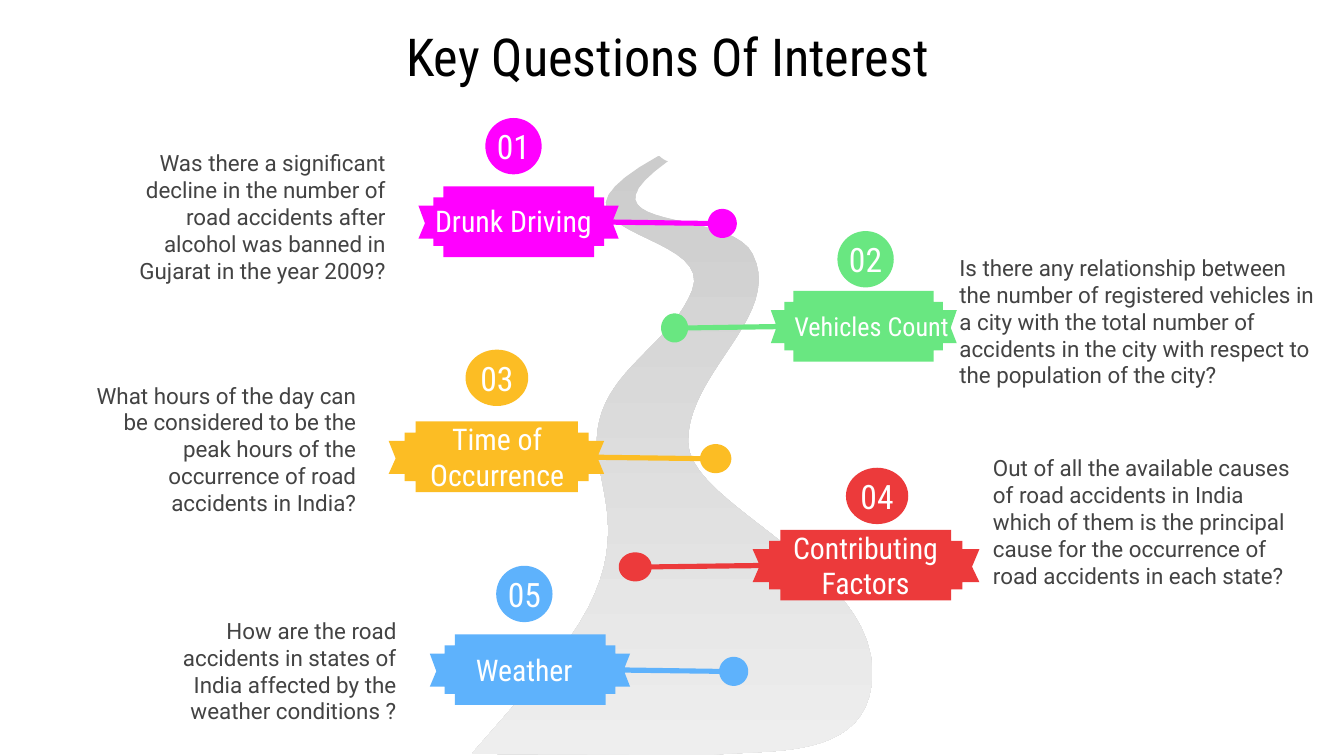
from math import cos, radians, sin

from pptx import Presentation
from pptx.dml.color import RGBColor
from pptx.enum import shapes, text
from pptx.util import Pt

THEME = {
    "heading_font": "Roboto Condensed", "body_font": "Roboto",
    "title_size": 28, "number_size": 18, "body_size": 12,
    "black": "000000", "white": "FFFFFF", "body": "434343",
    "road_top": "CCCCCC", "road_bottom": "EEEEEE",
}

TITLE = "Key Questions Of Interest"
LEFT, CENTER, RIGHT = text.PP_ALIGN.LEFT, text.PP_ALIGN.CENTER, text.PP_ALIGN.RIGHT

QUESTIONS = [
    {"number": "01", "label": "Drunk Driving", "color": "FF00FF", "points_right": True,
     "ribbon": (224.2, 99.8, 170.6), "circle": (260, 63.2, 30.2),
     "label_box": (226.8, 108.7, 96.5, 19.4), "label_size": 16, "label_align": CENTER,
     "question_box": (65.5, 72.7, 148.3, 87.1),
     "question": "Was there a significant decline in the number of road accidents "
                 "after alcohol was banned in Gujarat in the year 2009?"},
    {"number": "03", "label": "Time of Occurrence", "color": "FCBD24", "points_right": True,
     "ribbon": (208.2, 225.8, 183.6), "circle": (249.4, 187.3, 33.6),
     "label_box": (224.6, 234, 83.5, 20.9), "label_size": 16, "label_align": CENTER,
     "question_box": (33.1, 197.3, 164.9, 87.1),
     "question": "What hours of the day can be considered to be the peak hours "
                 "of the occurrence of road accidents in India?"},
    {"number": "02", "label": "Vehicles Count", "color": "69E781", "points_right": False,
     "ribbon": (354.2, 155.8, 158.4), "circle": (448.6, 123.8, 30.2),
     "label_box": (425.5, 166.3, 87.1, 17.3), "label_size": 14, "label_align": LEFT,
     "question_box": (506.9, 128.9, 204.5, 87.1),
     "question": "Is there any relationship between the number of registered vehicles "
                 "in a city with the total number of accidents in the city with respect "
                 "to the population of the city?"},
    {"number": "04", "label": "Contributing Factors", "color": "EC3A3B", "points_right": False,
     "ribbon": (331.5, 283.8, 193.2), "circle": (453.2, 250.6, 33.4),
     "label_box": (409.7, 283.7, 108, 38.2), "label_size": 16, "label_align": CENTER,
     "question_box": (524.9, 236.2, 175, 97.2),
     "question": "Out of all the available causes of road accidents in India which of them "
                 "is the principal cause for the occurrence of road accidents in each state?"},
    {"number": "05", "label": "Weather", "color": "5EB2FC", "points_right": True,
     "ribbon": (230.3, 339.8, 170.6), "circle": (265.8, 303.1, 30.2),
     "label_box": (232.6, 349.2, 96.5, 19.4), "label_size": 16, "label_align": CENTER,
     "question_box": (71.3, 323.3, 148.3, 70.6),
     "question": "How are the road accidents in states of India affected by the "
                 "weather conditions ?"},
]

ROAD_START = (352.8, 83.5)
ROAD_CURVES = [
    ((275, 126.7), (383.8, 122.4), (370.8, 155.5)),
    ((358.6, 186.5), (321.1, 198.7), (319.7, 235.4)),
    ((319, 265.7), (346.3, 296.6), (290.9, 360)),
    ((262.8, 392.4), (252.7, 403.9), (252.7, 403.9)),
    ((252.7, 403.9), (380.2, 404.6), (380.2, 404.6)),
    ((410.4, 401), (467.3, 409), (467.3, 360)),
    ((467.3, 303.1), (368.6, 270.7), (368.6, 236.9)),
    ((367.9, 199.4), (419.8, 169.2), (403.2, 136.1)),
    ((391, 110.9), (303.8, 125.3), (357.8, 86.4)),
    ((355, 85.7), (353.5, 83.5), (352.8, 83.5)),
]
CURVE_STEPS = 20

RIBBON_WIDTH = 170.6
BALL_CENTER, BALL_RADIUS = (162.8, 19.9), 7.8
BALL = [(BALL_CENTER[0] + BALL_RADIUS * cos(radians(angle)),
         BALL_CENTER[1] + BALL_RADIUS * sin(radians(angle)))
        for angle in range(170, -171, -10)]
RIBBON = [
    (13.4, 0), (13.4, 6), (8, 6), (8, 10.4), (0, 10.4), (3.5, 19.8), (0, 28.1),
    (8, 28.1), (8, 32), (13.4, 32), (13.4, 37.9), (94.2, 37.9), (94.2, 32),
    (99.5, 32), (99.5, 28.1), (107.3, 28.1), (104.4, 20.6), *BALL, (104.4, 17.8),
    (107.3, 10.4), (99.5, 10.4), (99.5, 6), (94.2, 6), (94.2, 0),
]


def color(name):
    return RGBColor.from_string(THEME.get(name, name))


def road_points():
    points = [ROAD_START]
    for first, second, end in ROAD_CURVES:
        start = points[-1]
        for step in range(1, CURVE_STEPS + 1):
            t = step / CURVE_STEPS
            weights = ((1 - t) ** 3, 3 * t * (1 - t) ** 2, 3 * t * t * (1 - t), t ** 3)
            corners = (start, first, second, end)
            points.append(tuple(sum(w * c[axis] for w, c in zip(weights, corners))
                                for axis in (0, 1)))
    return points


def ribbon_points(left, top, width, points_right):
    stretch = width / RIBBON_WIDTH
    return [(left + x * stretch if points_right else left + width - x * stretch, top + y)
            for x, y in RIBBON]


def add_outline(parent, points):
    corners = [(Pt(x), Pt(y)) for x, y in points]
    builder = parent.build_freeform(*corners[0])
    builder.add_line_segments(corners[1:], close=True)
    shape = builder.convert_to_shape()
    shape.shadow.inherit = False
    shape.line.fill.background()
    return shape


def paint(shape, fill):
    shape.fill.solid()
    shape.fill.fore_color.rgb = color(fill)


def write(shape, words, font, size, ink, align, margin=0, anchor=text.MSO_ANCHOR.MIDDLE):
    frame = shape.text_frame
    frame.text = words
    frame.word_wrap = True
    frame.auto_size = text.MSO_AUTO_SIZE.NONE
    frame.vertical_anchor = anchor
    frame.margin_left = frame.margin_right = Pt(margin)
    frame.margin_top = frame.margin_bottom = Pt(margin)
    paragraph = frame.paragraphs[0]
    paragraph.alignment = align
    run_font = paragraph.runs[0].font
    run_font.name, run_font.size = THEME[font], Pt(size)
    run_font.color.rgb = color(ink)


def add_text(parent, box, *style, **options):
    write(parent.add_textbox(*map(Pt, box)), *style, **options)


def add_title(slide):
    title = slide.shapes.title
    title.left, title.top, title.width, title.height = map(Pt, (53.3, 10.8, 608.4, 38.2))
    write(title, TITLE, "heading_font", THEME["title_size"], "black", CENTER, margin=7.2)


def add_road(slide):
    road = add_outline(slide.shapes, road_points())
    road.fill.gradient()
    road.fill.gradient_angle = 270
    for stop, position, name in zip(road.fill.gradient_stops, (0, 1), ("road_top", "road_bottom")):
        stop.position = position
        stop.color.rgb = color(name)


def add_question(slide, item):
    group = slide.shapes.add_group_shape().shapes
    paint(add_outline(group, ribbon_points(*item["ribbon"], item["points_right"])), item["color"])

    left, top, width = item["circle"]
    circle = group.add_shape(shapes.MSO_SHAPE.OVAL, Pt(left), Pt(top), Pt(width), Pt(30.2))
    circle.shadow.inherit = False
    circle.line.fill.background()
    paint(circle, item["color"])
    write(circle, item["number"], "heading_font", THEME["number_size"], "white", CENTER)
    circle.text_frame.word_wrap = False

    add_text(group, item["label_box"], item["label"], "heading_font", item["label_size"],
             "white", item["label_align"])
    add_text(group, item["question_box"], item["question"], "body_font", THEME["body_size"],
             "body", RIGHT if item["points_right"] else LEFT,
             margin=7.2, anchor=text.MSO_ANCHOR.TOP)


def main():
    presentation = Presentation()
    presentation.slide_width, presentation.slide_height = Pt(720), Pt(405)
    slide = presentation.slides.add_slide(presentation.slide_layouts[5])
    add_title(slide)
    add_road(slide)
    for item in QUESTIONS:
        add_question(slide, item)
    presentation.save("out.pptx")


if __name__ == "__main__":
    main()
